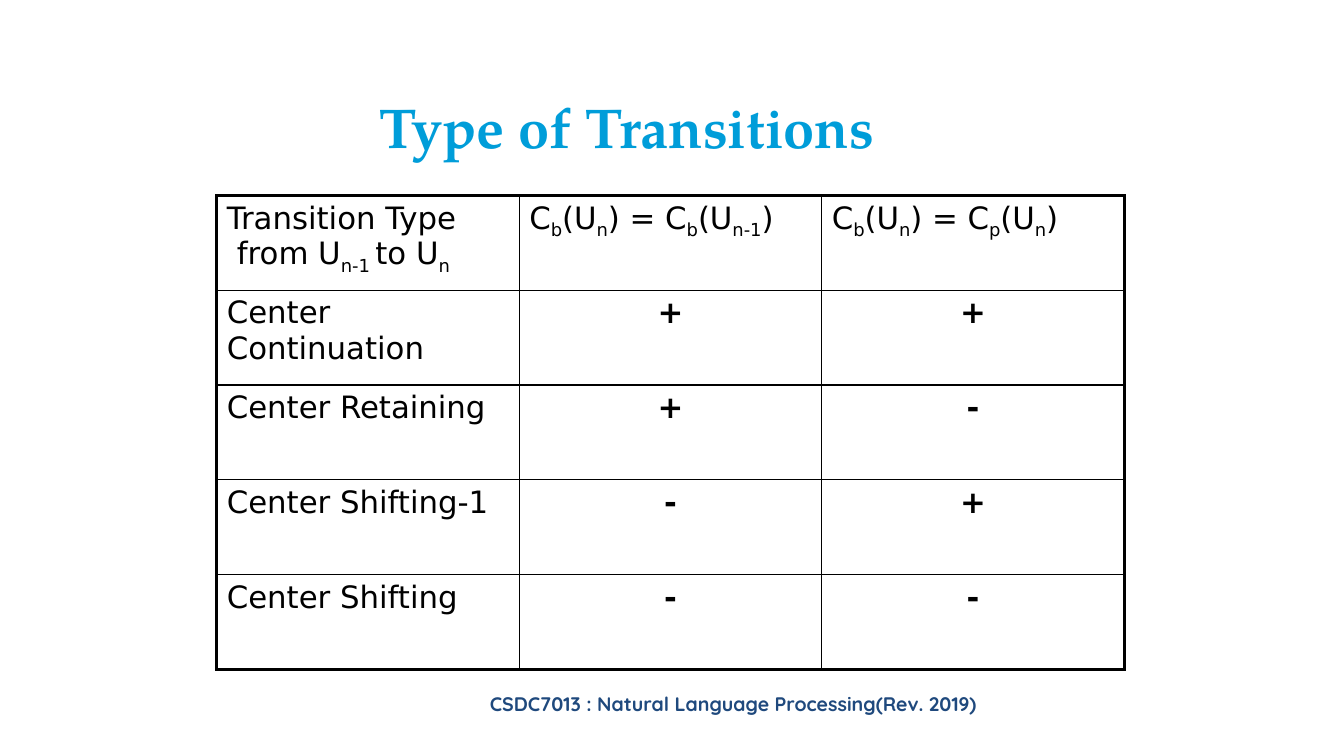
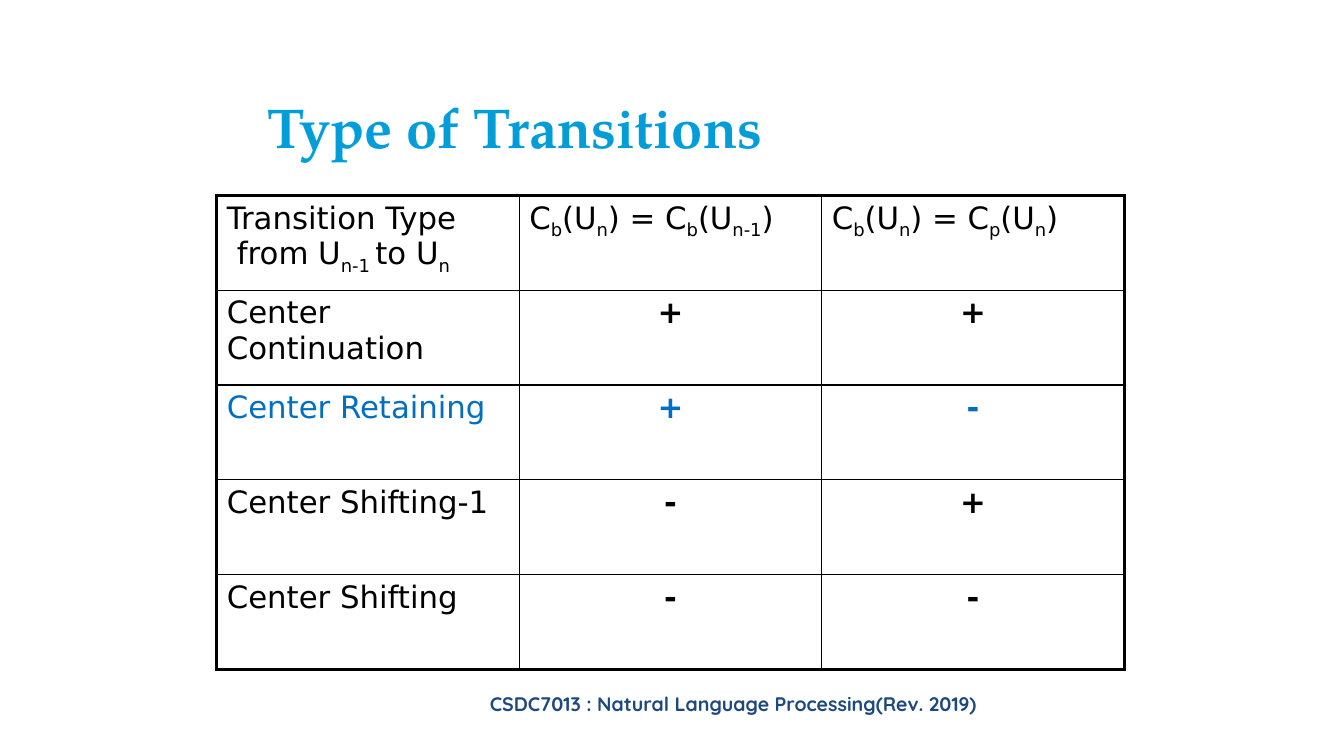
from lxml.etree import SubElement
from pptx import Presentation
from pptx.dml.color import RGBColor
from pptx.enum.text import MSO_ANCHOR as ANCHOR, MSO_AUTO_SIZE as FIT, PP_ALIGN as ALIGN
from pptx.oxml.ns import qn
from pptx.util import Inches, Pt

FOOTER = "CSDC7013 : Natural Language Processing(Rev. 2019)"
TITLE = "Type of Transitions"
SUB = "~"
ROWS = [
    ("Transition Type\nfrom U~n-1 ~to U~n~", "C~b~(U~n~) = C~b~(U~n-1~)", "C~b~(U~n~) = C~p~(U~n~)"),
    ("Center\nContinuation", "+", "+"),
    ("Center Retaining", "+", "-"),
    ("Center Shifting-1", "-", "+"),
    ("Center Shifting", "-", "-"),
]
SLIDES = [
    {"title_left": 3.75, "marked_row": None},
    {"title_left": 2.64, "marked_row": 2},
]

BLACK, NAVY, SKY, BLUE = "000000", "1F497D", "009DD9", "006FC0"
TITLE_FONT, FOOTER_FONT, TABLE_FONT = "TeX Gyre Pagella", "Quicksand", "DejaVu Sans"
LEFT, TABLE_TOP, COL_W, ROW_H = 2.15, 1.94, 3, 0.94
TITLE_TOP, TITLE_RIGHT, TITLE_H = 0.91, 13.06, 0.69
THICK, THIN = 2.25, 1


def rgb(value):
    return RGBColor.from_string(value)


def write(p, text, font, size, color, bold=False, align=ALIGN.LEFT, indent=0):
    p.alignment = align
    if indent:
        p._p.get_or_add_pPr().set("marL", str(Inches(indent)))
    for i, part in enumerate(text.split(SUB)):
        if not part:
            continue
        r = p.add_run()
        r.text = part
        r.font.name, r.font.size, r.font.bold = font, Pt(size), bold
        r.font.color.rgb = rgb(color)
        if i % 2:
            r.font._element.set("baseline", "-25000")


def set_insets(obj, left, top, right, bottom):
    obj.margin_left, obj.margin_top = Inches(left), Inches(top)
    obj.margin_right, obj.margin_bottom = Inches(right), Inches(bottom)


def set_borders(cell, widths):
    tcPr = cell._tc.get_or_add_tcPr()
    for side, width in widths.items():
        ln = SubElement(tcPr, qn(f"a:ln{side}"), w=str(Pt(width)))
        fill = SubElement(ln, qn("a:solidFill"))
        SubElement(fill, qn("a:srgbClr"), val=BLACK)


def add_footer(slide):
    box = slide.shapes.add_textbox(Inches(LEFT), Inches(6.76), Inches(10.25), Inches(0.59))
    tf = box.text_frame
    tf.word_wrap = True
    set_insets(tf, 0.1, 0.1, 0.1, 0.1)
    write(tf.paragraphs[0], FOOTER, FOOTER_FONT, 14, NAVY, bold=True, align=ALIGN.CENTER)
    slide.slide_layout.shapes.element.append(box.element)


def set_title(slide, left):
    sp = slide.shapes.title
    sp.left, sp.top = Inches(left), Inches(TITLE_TOP)
    sp.width, sp.height = Inches(TITLE_RIGHT - left), Inches(TITLE_H)
    tf = sp.text_frame
    tf.word_wrap, tf.auto_size = True, FIT.SHAPE_TO_FIT_TEXT
    tf.vertical_anchor = ANCHOR.TOP
    set_insets(tf, 0, 0.01, 0, 0)
    write(tf.paragraphs[0], TITLE, TITLE_FONT, 40, SKY, bold=True, indent=0.01)


def fill_cell(cell, text, row, col, color):
    set_insets(cell, 0, 0.05, 0, 0)
    is_mark = row > 0 and col > 0
    tf = cell.text_frame
    for i, line in enumerate(text.split("\n")):
        p = tf.add_paragraph() if i else tf.paragraphs[0]
        indent = 0 if is_mark else 0.2 if i and row == 0 else 0.1
        write(p, line, TABLE_FONT, 22, color, bold=is_mark,
              align=ALIGN.CENTER if is_mark else ALIGN.LEFT, indent=indent)
    set_borders(cell, {
        "L": THICK if col == 0 else THIN,
        "R": THICK if col == len(ROWS[0]) - 1 else THIN,
        "T": THICK if row == 0 else THIN,
        "B": THICK if row == len(ROWS) - 1 else THIN,
    })
    cell.fill.background()


def add_transitions(slide, marked_row):
    n_rows, n_cols = len(ROWS), len(ROWS[0])
    table = slide.shapes.add_table(n_rows, n_cols, Inches(LEFT), Inches(TABLE_TOP),
                                   Inches(COL_W * n_cols), Inches(ROW_H * n_rows)).table
    table.first_row = table.horz_banding = False
    for row, texts in enumerate(ROWS):
        table.rows[row].height = Inches(ROW_H)
        color = BLUE if row == marked_row else BLACK
        for col, text in enumerate(texts):
            fill_cell(table.cell(row, col), text, row, col, color)


def main():
    prs = Presentation()
    prs.slide_width, prs.slide_height = Inches(13.33), Inches(7.5)
    layout = prs.slide_layouts.get_by_name("Title Only")
    for i, item in enumerate(SLIDES):
        s = prs.slides.add_slide(layout)
        if i == 0:
            add_footer(s)
        set_title(s, item["title_left"])
        add_transitions(s, item["marked_row"])
    prs.save("out.pptx")


if __name__ == "__main__":
    main()
